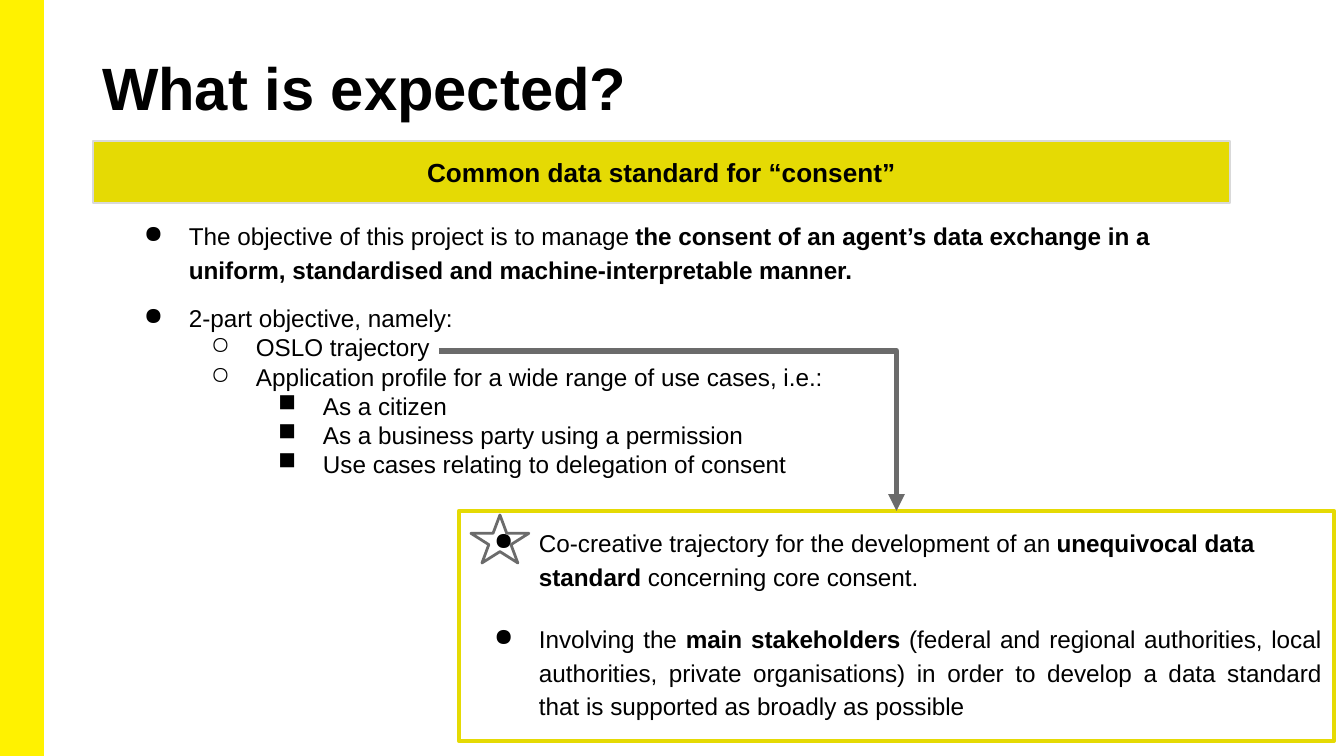
from dataclasses import dataclass

from lxml import etree
from pptx import Presentation
from pptx.dml.color import RGBColor
from pptx.enum.shapes import MSO_CONNECTOR as CONN, MSO_SHAPE as SHAPE
from pptx.enum.text import MSO_ANCHOR as ANCHOR, PP_ALIGN as ALIGN
from pptx.oxml.ns import qn
from pptx.util import Pt

PX = 914400 / 134.4
WIDTH, HEIGHT = 1344, 756


@dataclass(frozen=True)
class Theme:
    font: str = "Arial"
    ink: str = "000000"
    bar: str = "FFF200"
    accent: str = "E5DA04"
    edge: str = "D9D9D9"
    grey: str = "6B6B6B"
    title: int = 32
    banner: int = 14
    body: int = 13


T = Theme()

TITLE = "What is expected?"
BANNER = "Common data standard for “consent”"
# Each item: level, line spacing, space before (pt), alignment, [(text, bold)]
OBJECTIVES = [
    (0, 1.15, 0, ALIGN.LEFT, [
        ("The objective of this project is to manage ", False),
        ("the consent of an agent’s data exchange in a uniform, standardised "
         "and machine-interpretable manner.", True)]),
    (0, 1, 10.5, ALIGN.LEFT, [("2-part objective, namely:", False)]),
    (1, 1, 0, ALIGN.LEFT, [("OSLO trajectory", False)]),
    (1, 1, 0, ALIGN.LEFT, [("Application profile for a wide range of use cases, i.e.:", False)]),
    (2, 1, 0, ALIGN.LEFT, [("As a citizen", False)]),
    (2, 1, 0, ALIGN.LEFT, [("As a business party using a permission", False)]),
    (2, 1, 0, ALIGN.LEFT, [("Use cases relating to delegation of consent", False)]),
]
TRAJECTORY = [
    (0, 1.15, 0, ALIGN.LEFT, [
        ("Co-creative trajectory for the development of an ", False),
        ("unequivocal data standard", True),
        (" concerning core consent.", False)]),
    (0, 1.15, 15.5, ALIGN.JUSTIFY, [
        ("Involving the ", False),
        ("main stakeholders ", True),
        ("(federal and regional authorities, local authorities, private organisations) "
         "in order to develop a data standard that is supported as broadly as possible",
         False)]),
]
BULLETS = "●○■"
LEVEL_STEP, HANG, INSET = 67, 45, 13

BAR_AT = (0, 0, 43, HEIGHT)
TITLE_AT = (93, 40, 1158, 109)
BANNER_AT = (93, 141, 1137, 62)
OBJECTIVES_AT = (109, 204, 1099, 294)
TRAJECTORY_AT = (459, 511, 875, 230)
STAR_AT = (471, 515, 58, 48)
ARROW_START = (439, 351)


def px(n):
    return round(n * PX)


def color(hex_code):
    return RGBColor.from_string(hex_code)


def add_box(slide, kind, at, fill=None, line=None, weight=1):
    s = slide.shapes.add_shape(kind, *map(px, at))
    s.shadow.inherit = False
    if fill:
        s.fill.solid()
        s.fill.fore_color.rgb = color(fill)
    else:
        s.fill.background()
    s.line.color.rgb = color(line)
    s.line.width = Pt(weight)
    return s


def set_frame(tf, anchor, left=INSET, top=INSET):
    tf.word_wrap = True
    tf.vertical_anchor = anchor
    tf.margin_left = tf.margin_right = px(left)
    tf.margin_top = tf.margin_bottom = px(top)


def style(font, size, bold):
    font.name, font.size, font.bold = T.font, Pt(size), bold
    font.color.rgb = color(T.ink)


def set_line(tf, text, size, align):
    tf.text = text
    p = tf.paragraphs[0]
    p.alignment = align
    style(p.runs[0].font, size, True)


def add_bullets(tf, items):
    set_frame(tf, ANCHOR.TOP)
    for i, (level, spacing, before, align, runs) in enumerate(items):
        p = tf.add_paragraph() if i else tf.paragraphs[0]
        p.level, p.line_spacing, p.alignment = level, float(spacing), align
        p.space_before = Pt(before)
        pPr = p._p.get_or_add_pPr()
        pPr.set("marL", str(px(LEVEL_STEP * (level + 1))))
        pPr.set("indent", str(-px(HANG)))
        etree.SubElement(pPr, qn("a:buChar"), char=BULLETS[level])
        for text, bold in runs:
            r = p.add_run()
            r.text = text
            style(r.font, T.body, bold)


def add_bent_arrow(slide, start, end):
    """Draw an arrow that runs across first and then down."""
    c = slide.shapes.add_connector(CONN.ELBOW, *map(px, start + end))
    c.line.color.rgb = color(T.grey)
    c.line.width = Pt(3)
    spPr = c._element.spPr
    spPr.find(qn("a:prstGeom")).set("prst", "bentConnector2")
    etree.SubElement(c.line._get_or_add_ln(), qn("a:tailEnd"), type="triangle")
    etree.SubElement(spPr, qn("a:effectLst"))


def main():
    prs = Presentation()
    prs.slide_width, prs.slide_height = px(WIDTH), px(HEIGHT)
    slide = prs.slides.add_slide(prs.slide_layouts[5])

    add_box(slide, SHAPE.RECTANGLE, BAR_AT, T.bar, T.bar)

    title = slide.shapes.title
    title.left, title.top, title.width, title.height = map(px, TITLE_AT)
    set_frame(title.text_frame, ANCHOR.TOP, left=9, top=11)
    set_line(title.text_frame, TITLE, T.title, ALIGN.LEFT)

    body = slide.shapes.add_textbox(*map(px, OBJECTIVES_AT))
    add_bullets(body.text_frame, OBJECTIVES)

    banner = add_box(slide, SHAPE.RECTANGLE, BANNER_AT, T.accent, T.edge, 0.75)
    set_frame(banner.text_frame, ANCHOR.MIDDLE)
    set_line(banner.text_frame, BANNER, T.banner, ALIGN.CENTER)

    box = add_box(slide, SHAPE.RECTANGLE, TRAJECTORY_AT, line=T.accent, weight=2.25)
    add_bullets(box.text_frame, TRAJECTORY)
    add_box(slide, SHAPE.STAR_5_POINT, STAR_AT, line=T.grey, weight=1.5)

    left, top, width, _ = TRAJECTORY_AT
    add_bent_arrow(slide, ARROW_START, (left + width / 2, top))

    prs.save("out.pptx")


if __name__ == "__main__":
    main()
